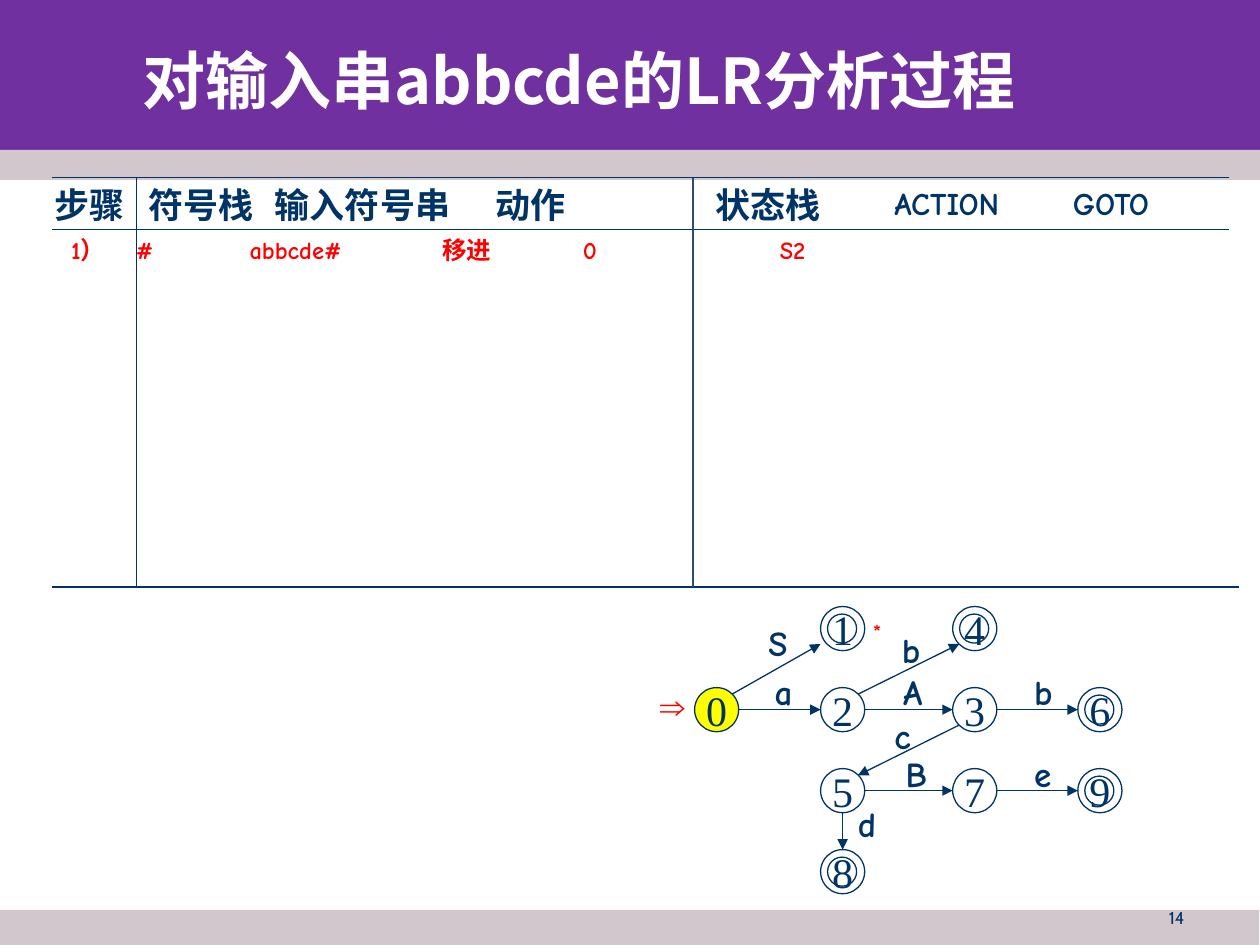
import pptx
import pptx.dml.color
import pptx.enum.shapes
import pptx.enum.text
import pptx.oxml
import pptx.oxml.ns
import pptx.util

Pt = pptx.util.Pt
ALIGN = pptx.enum.text.PP_ALIGN
NAVY, RED, WHITE = "003366", "FF0000", "FFFFFF"
PURPLE, GREY, YELLOW = "7030A0", "D3C7CE", "FFFF00"
CJK_FONT, LABEL_FONT, SERIF_FONT = "Noto Sans CJK SC", "Comic Neue", "Times New Roman"

# State graph: centres of columns and rows, and circle radii
COLUMNS = [409.5, 481.5, 557, 628.5]
ROWS = [359.2 + 46.3 * row for row in range(4)]
RADIUS, INNER_RADIUS = 12.6, 8.3
STATES = {  # name: (column, row)
    "0": (0, 1), "1": (1, 0), "4": (2, 0), "2": (1, 1), "3": (2, 1),
    "5": (1, 2), "7": (2, 2), "6": (3, 1), "9": (3, 2), "8": (1, 3),
}
FINAL_STATES = "14698"

# Points on the rim of a state, as offsets from its centre
DIAGONAL = 8.8
RIM = {
    "right": (RADIUS, 0), "left": (-RADIUS, 0),
    "top": (0, -RADIUS), "bottom": (0, RADIUS),
    "upper right": (DIAGONAL, -DIAGONAL), "lower left": (-DIAGONAL, DIAGONAL),
    "outer lower left": (-RADIUS, DIAGONAL),
}
# Start state, rim point, end state, rim point, label, label left and top
EDGES = [
    ("0", "right", "2", "left", "a", 435.6, 379.4),
    ("2", "right", "3", "left", "A", 509, 379.4),
    ("3", "right", "6", "left", "b", 583.9, 379.4),
    ("5", "right", "7", "left", "B", 510.5, 426.2),
    ("7", "right", "9", "left", "e", 583.9, 426.2),
    ("0", "upper right", "1", "outer lower left", "S", 432, 351.4),
    ("2", "upper right", "4", "lower left", "b", 508.3, 355.7),
    ("3", "lower left", "5", "upper right", "c", 504, 404.6),
    ("5", "bottom", "8", "top", "d", 483.1, 455),
]


def colour(value):
    return pptx.dml.color.RGBColor.from_string(value)


def write_text(shape, text, size=20, font=LABEL_FONT, color=NAVY, bold=True,
               align=ALIGN.LEFT, wrap=True, east_asian=None, tabs=(), spacing=None):
    shape.text_frame.word_wrap = wrap
    paragraph = shape.text_frame.paragraphs[0]
    paragraph.alignment = align
    if spacing:
        paragraph.line_spacing = spacing
    if tabs:
        properties = paragraph._p.get_or_add_pPr()
        tab_list = pptx.oxml.parse_xml(
            "<a:tabLst %s/>" % pptx.oxml.ns.nsdecls("a"))
        for position in tabs:
            tab_list.append(pptx.oxml.parse_xml(
                '<a:tab %s pos="%d" algn="l"/>'
                % (pptx.oxml.ns.nsdecls("a"), Pt(position))))
        properties.append(tab_list)
    run = paragraph.add_run()
    run.text = text
    run.font.name, run.font.size, run.font.bold = font, Pt(size), bold
    run.font.color.rgb = colour(color)
    if east_asian:
        run.font._element.append(pptx.oxml.parse_xml(
            '<a:ea %s typeface="%s"/>' % (pptx.oxml.ns.nsdecls("a"), east_asian)))


def add_text(slide, text, left, top, width, height, **text_format):
    box = slide.shapes.add_textbox(Pt(left), Pt(top), Pt(width), Pt(height))
    write_text(box, text, **text_format)


def add_shape(slide, kind, left, top, width, height, fill=None, line=None):
    shape = slide.shapes.add_shape(kind, Pt(left), Pt(top), Pt(width), Pt(height))
    shape.shadow.inherit = False
    if fill:
        shape.fill.solid()
        shape.fill.fore_color.rgb = colour(fill)
    else:
        shape.fill.background()
    if line:
        shape.line.color.rgb = colour(line)
        shape.line.width = Pt(0.75)
    else:
        shape.line.fill.background()
    return shape


def add_line(slide, start, end, color=NAVY, arrow=False):
    connector = slide.shapes.add_connector(
        pptx.enum.shapes.MSO_CONNECTOR.STRAIGHT,
        Pt(start[0]), Pt(start[1]), Pt(end[0]), Pt(end[1]))
    connector.line.color.rgb = colour(color)
    connector.line.width = Pt(0.75)
    namespace = pptx.oxml.ns.nsdecls("a")
    if arrow:
        connector.line._get_or_add_ln().append(
            pptx.oxml.parse_xml('<a:tailEnd %s type="triangle"/>' % namespace))
    connector._element.spPr.append(
        pptx.oxml.parse_xml("<a:effectLst %s/>" % namespace))


def add_circle(slide, centre, radius, fill=None):
    return add_shape(slide, pptx.enum.shapes.MSO_SHAPE.OVAL, centre[0] - radius,
                     centre[1] - radius, 2 * radius, 2 * radius, fill, NAVY)


def state_centre(name):
    column, row = STATES[name]
    return COLUMNS[column], ROWS[row]


def rim_point(name, side):
    x, y = state_centre(name)
    return x + RIM[side][0], y + RIM[side][1]


def add_state(slide, name):
    circle = add_circle(slide, state_centre(name), RADIUS,
                        YELLOW if name == "0" else None)
    circle.text_frame.vertical_anchor = pptx.enum.text.MSO_ANCHOR.MIDDLE
    write_text(circle, name, size=24, font=SERIF_FONT, bold=False,
               align=ALIGN.CENTER, wrap=False)
    if name in FINAL_STATES:
        x, y = state_centre(name)
        add_circle(slide, (x - 0.3, y), INNER_RADIUS)


def add_background(slide):
    rectangle = pptx.enum.shapes.MSO_SHAPE.RECTANGLE
    add_shape(slide, rectangle, 0, 0, 720, 94.3, PURPLE)
    add_shape(slide, rectangle, 0, 85.7, 720, 17.1, GREY)
    add_shape(slide, rectangle, 0, 520, 719.5, 21.6, GREY)
    # The purple band ends where the grey strip begins
    add_text(slide, "14", 516.2, 517, 167.8, 22.3, size=9.8, font="Cabin",
             bold=False, align=ALIGN.RIGHT, spacing=0.8)
    add_text(slide, "对输入串abbcde的LR分析过程", 74.2, 20.2, 570.2, 50.4,
             size=36, font=CJK_FONT, color=WHITE, east_asian=CJK_FONT)


def add_analysis(slide):
    top, bottom = 101.5, 335.5
    # Rules of the analysis grid
    for y, right in ((top, 702), (131, 702), (bottom, 708)):
        add_line(slide, (30, y), (right, y))
    add_line(slide, (78.2, top), (78.2, bottom))
    add_line(slide, (396, top), (396, bottom), "2E4C6B")
    # Column headings
    for text, left, width in (("步骤", 23.8, 60), ("符号栈", 78, 84),
                              ("输入符号串", 150, 120), ("动作", 276, 60),
                              ("状态栈", 402, 84)):
        add_text(slide, text, left, top, width, 31.7, font=SERIF_FONT,
                 east_asian=CJK_FONT)
    for text, left, width in (("ACTION", 504, 96), ("GOTO", 606, 84)):
        add_text(slide, text, left, top, width, 28.8, size=18)
    # First step
    add_text(slide, "1）\t#\tabbcde#\t移进\t0\tS2", 33.5, 131, 668.5, 24.5,
             size=14, color=RED, east_asian=CJK_FONT,
             tabs=(37, 102, 212, 292.5, 405))


def add_graph(slide):
    for name in STATES:
        add_state(slide, name)
    for start, start_side, end, end_side, label, left, top in EDGES:
        add_line(slide, rim_point(start, start_side), rim_point(end, end_side),
                 arrow=True)
        add_text(slide, label, left, top, 24.5, 31.7, wrap=False)
    # Start and accept marks
    add_text(slide, "⇒", 370, 387.4, 30.2, 31.7, font="Arial", color=RED, wrap=False)
    add_text(slide, "*", 491.8, 350, 18.7, 21.6, size=12, color=RED, wrap=False)


def main():
    presentation = pptx.Presentation()
    presentation.slide_width, presentation.slide_height = Pt(720), Pt(540)
    slide = presentation.slides.add_slide(presentation.slide_layouts[6])
    add_background(slide)
    add_analysis(slide)
    add_graph(slide)
    presentation.save("out.pptx")


if __name__ == "__main__":
    main()
